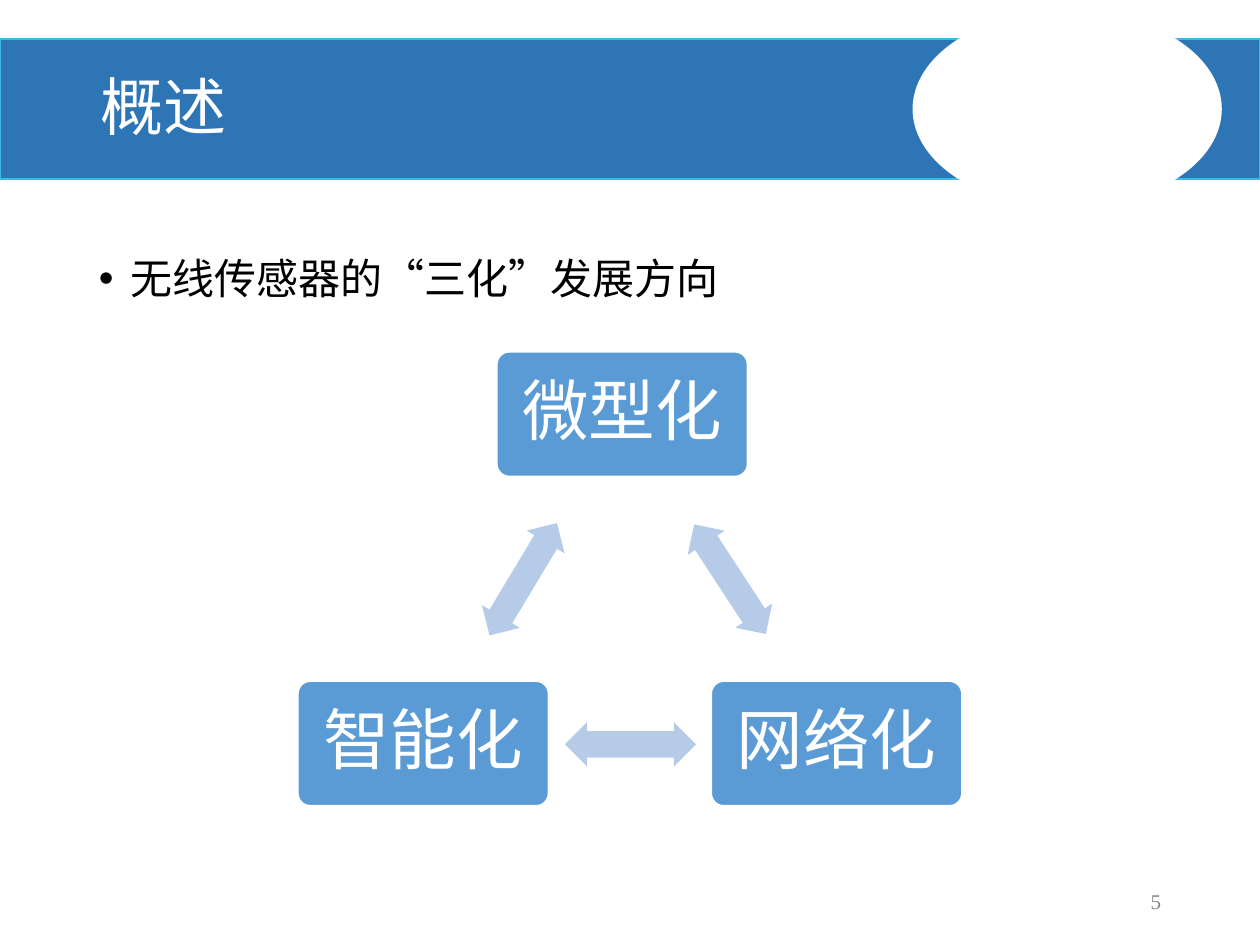
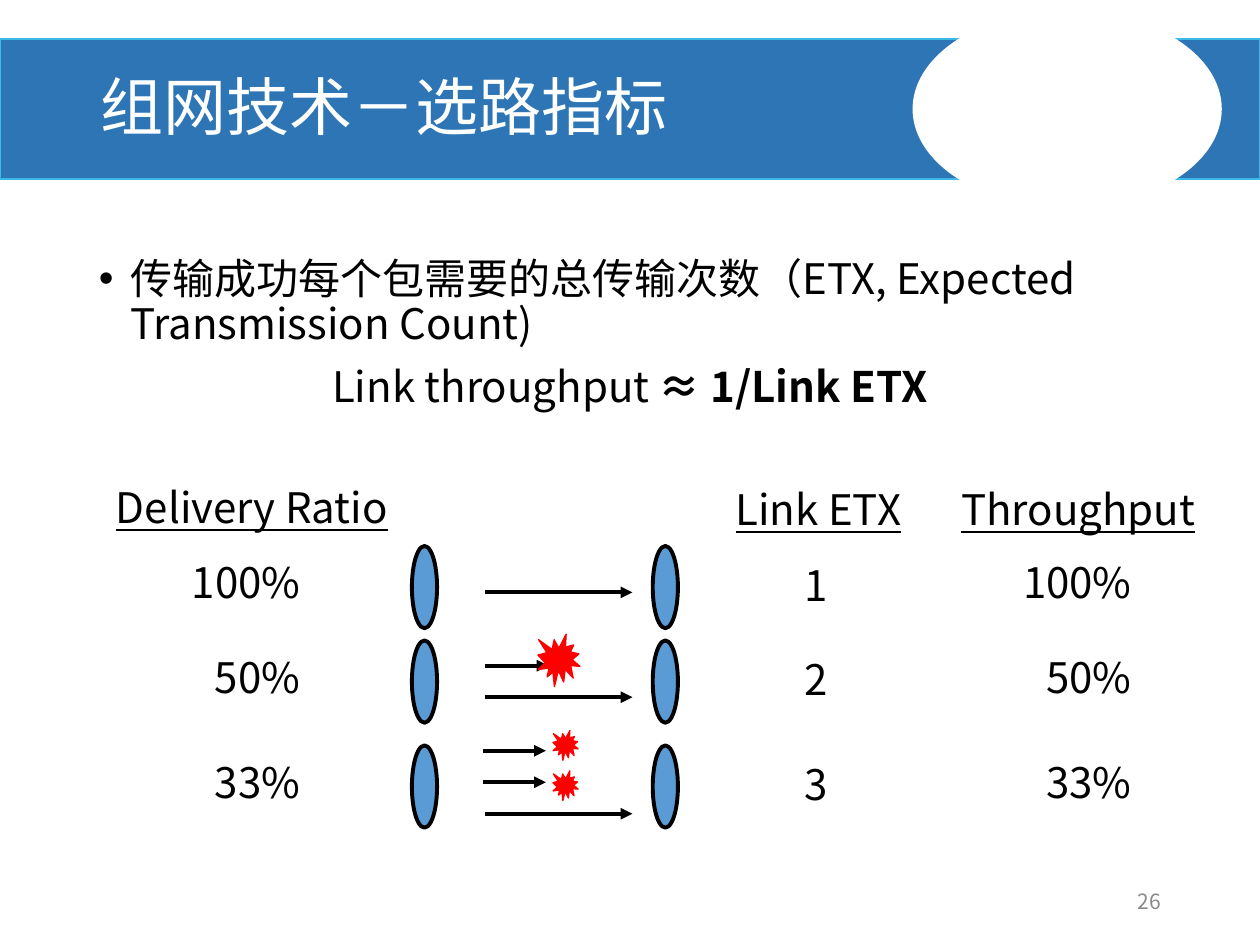
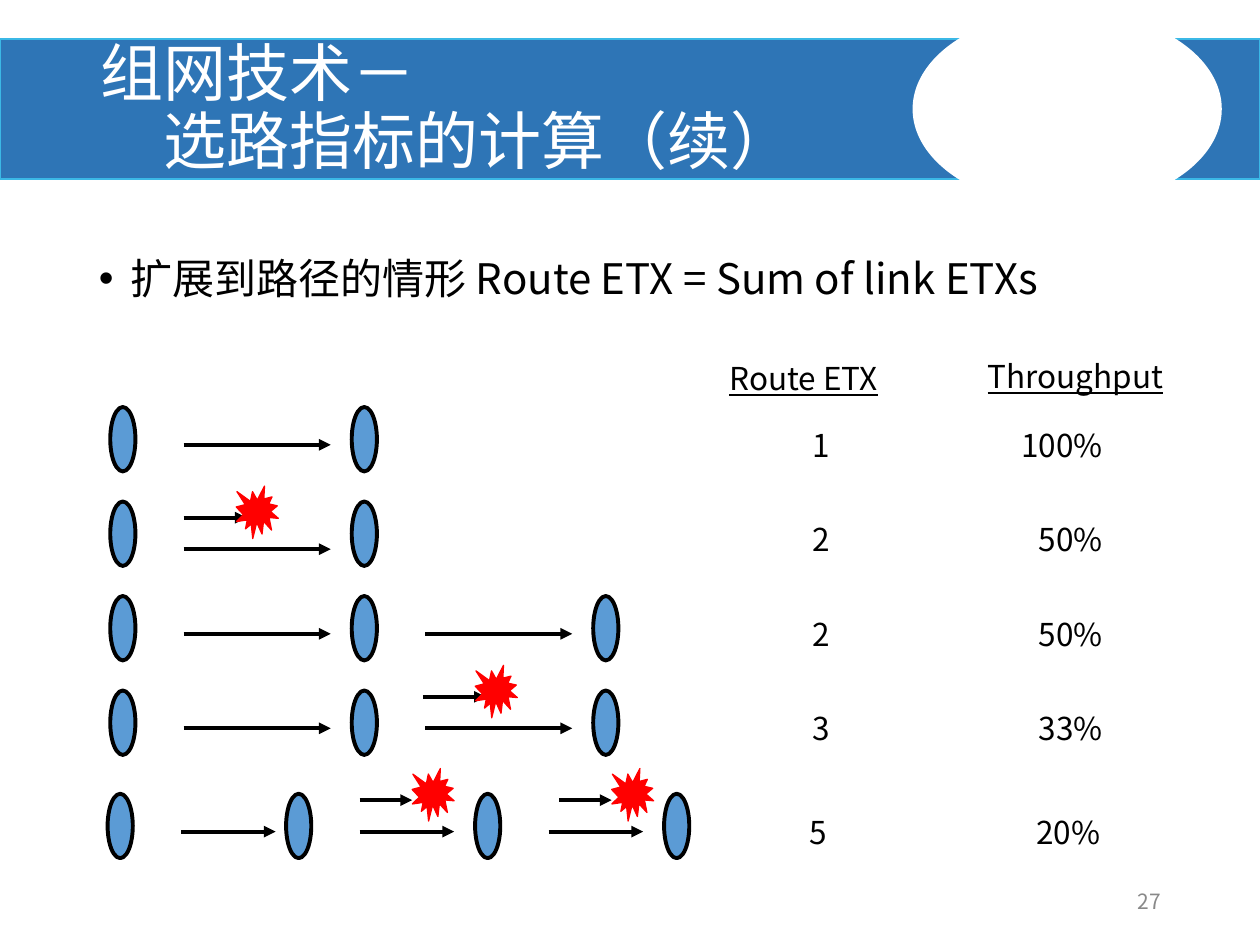
from collections import namedtuple

from lxml.etree import SubElement
from pptx import Presentation
from pptx.dml.color import RGBColor
from pptx.enum.shapes import MSO_CONNECTOR as Connector, MSO_SHAPE as Preset
from pptx.enum.text import MSO_ANCHOR as Anchor, MSO_AUTO_SIZE as AutoSize, PP_ALIGN as Align
from pptx.oxml.ns import qn
from pptx.util import Pt

Box = namedtuple("Box", "left top width height")
Failure = namedtuple("Failure", "shift length burst")
Hop = namedtuple("Hop", "node length arrow_top failures", defaults=((),))
Row = namedtuple("Row", "top nodes hops")
Column = namedtuple("Column", "heading box value_right value_top values")

SANS = "Noto Sans CJK SC"
WHITE, BLACK, GREY = "FFFFFF", "000000", "898989"
BAND, BAND_EDGE = "2E75B6", "3BB8E6"
NODE, ARROW, RED = "5B9BD5", "B5CBE7", "FF0000"
NODE_WIDTH = 14.4
HOP_START = 42
ATTEMPT_GAP = 18

BAND_BOX = Box(0, 22.3, 720, 80)
TITLE_BOX = Box(50.4, 23.8, 458, 78.5)
BODY_BOX = Box(49.5, 144, 621, 343)
NUMBER_BOX = Box(508.5, 500.5, 162, 28.8)

BIG_BURST = Box(30, -18, 24, 30)
LOST = Failure(0, 36, BIG_BURST)
LOST_EARLY = Failure(-1.4, 36, BIG_BURST)
LOST_SHORT = Failure(0, 30, BIG_BURST)
LOST_LATE = Failure(6, 30, BIG_BURST)
LOST_SECOND = Failure(-1.4, 36, Box(40, -6.5, 14.4, 17))
LOST_FIRST = Failure(-1.4, 36, Box(40, -11.5, 14.4, 17))


def color(value):
    return RGBColor.from_string(value)


def points(*values):
    return [Pt(value) for value in values]


def format_paragraph(paragraph, size, fill, font=SANS, align=Align.LEFT, spacing=None, underline=None):
    paragraph.alignment = align
    if spacing:
        paragraph.line_spacing = spacing
    for run in paragraph.runs:
        run.font.size = Pt(size)
        run.font.color.rgb = color(fill)
        run.font.name = font
        run.font.underline = underline
        SubElement(run._r.get_or_add_rPr(), qn("a:ea")).set("typeface", SANS)


def add_bullet(paragraph):
    properties = paragraph._p.get_or_add_pPr()
    properties.set("marL", str(Pt(18)))
    properties.set("indent", str(-Pt(18)))
    SubElement(properties, qn("a:buFont")).set("typeface", "Arial")
    SubElement(properties, qn("a:buChar")).set("char", "•")


def add_text(slide, box, text, size, fill=BLACK, anchor=Anchor.TOP, **style):
    frame = slide.shapes.add_textbox(*points(*box)).text_frame
    frame.word_wrap = True
    frame.vertical_anchor = anchor
    frame.text = text
    format_paragraph(frame.paragraphs[0], size, fill, **style)
    return frame


def add_preset(slide, preset, box, fill, line=None, line_width=1, adjustments=()):
    shape = slide.shapes.add_shape(preset, *points(*box))
    shape.shadow.inherit = False
    shape.fill.solid()
    shape.fill.fore_color.rgb = color(fill)
    if line:
        shape.line.color.rgb = color(line)
        shape.line.width = Pt(line_width)
    else:
        shape.line.fill.background()
    for index, value in enumerate(adjustments):
        shape.adjustments[index] = value
    return shape


def add_arrow(slide, left, top, length):
    arrow = slide.shapes.add_connector(Connector.STRAIGHT, *points(left, top, left + length, top))
    arrow.line.color.rgb = color(BLACK)
    arrow.line.width = Pt(2.25)
    SubElement(arrow.line._get_or_add_ln(), qn("a:tailEnd")).set("type", "triangle")
    SubElement(arrow._element.spPr, qn("a:effectLst"))


def move_band_to_layout(slide, box):
    band = add_preset(slide, Preset.RECTANGLE, box, BAND, BAND_EDGE)
    cutout_box = Box(box.left + 522, box.top - 15.8, 175.7, 111.6)
    cutout = add_preset(slide, Preset.OVAL, cutout_box, WHITE, WHITE)
    tree = slide.slide_layout.shapes.element
    for position, shape in enumerate((band, cutout), start=2):
        tree.insert(position, shape.element)


def add_titled_slide(presentation, title, number, number_font=SANS):
    slide = presentation.slides.add_slide(presentation.slide_layouts[5])
    shape = slide.shapes.title
    shape.left, shape.top, shape.width, shape.height = points(*TITLE_BOX)
    frame = shape.text_frame
    frame.auto_size = AutoSize.NONE
    frame.vertical_anchor = Anchor.MIDDLE
    frame.text = title
    for paragraph in frame.paragraphs:
        format_paragraph(paragraph, 36, WHITE, spacing=0.9)
    add_text(slide, NUMBER_BOX, number, 12, GREY, Anchor.MIDDLE, font=number_font, align=Align.RIGHT)
    return slide


def draw_body(slide, box, text):
    frame = add_text(slide, box, text, 24, spacing=0.9)
    add_bullet(frame.paragraphs[0])
    return frame


def draw_triangle(slide, box):
    width, height = 143.3, 71.3
    right, bottom = box.width - width, box.height - height
    for text, left, top in (
        ("微型化", 113.7, 0),
        ("网络化", right, bottom),
        ("智能化", 0, bottom),
    ):
        node_box = Box(box.left + left, box.top + top, width, height)
        shape = add_preset(slide, Preset.ROUNDED_RECTANGLE, node_box, NODE, WHITE, adjustments=[0.1])
        frame = shape.text_frame
        frame.word_wrap = True
        frame.vertical_anchor = Anchor.MIDDLE
        frame.margin_left = frame.margin_right = frame.margin_top = frame.margin_bottom = Pt(11.5)
        frame.text = text
        format_paragraph(frame.paragraphs[0], 38, WHITE, "Calibri", Align.CENTER, 0.9)
    for left, top, rotation in ((209.5, 117.4, 56.8), (152.6, 211.7, 180), (91.4, 117.4, 301)):
        arrow_box = Box(box.left + left, box.top + top, 74.9, 25.2)
        arrow = add_preset(slide, Preset.LEFT_RIGHT_ARROW, arrow_box, ARROW, adjustments=[0.6, 0.5])
        arrow.rotation = rotation


def draw_hop(slide, left, top, hop):
    add_arrow(slide, left, top, hop.length)
    for attempt, failure in enumerate(hop.failures, start=1):
        start, level = left + failure.shift, top - attempt * ATTEMPT_GAP
        add_arrow(slide, start, level, failure.length)
        burst = failure.burst
        burst_box = Box(start + burst.left, level + burst.top, burst.width, burst.height)
        add_preset(slide, Preset.EXPLOSION1, burst_box, RED, RED, 0.75)


def draw_links(slide, left, top, node_height, rows):
    for row in rows:
        for node in row.nodes:
            node_box = Box(left + node, top + row.top, NODE_WIDTH, node_height)
            add_preset(slide, Preset.OVAL, node_box, NODE, BLACK, 2.25)
        for hop in row.hops:
            start = left + row.nodes[hop.node] + HOP_START
            draw_hop(slide, start, top + row.top + hop.arrow_top, hop)


def draw_column(slide, column, rows, size):
    box = column.box
    add_text(slide, box, column.heading, size, underline=True)
    for row, value in zip(rows, column.values):
        shift = row.nodes[0] - rows[0].nodes[0]
        top = box.top + column.value_top + row.top
        value_box = Box(box.left + shift, top, column.value_right, box.height)
        add_text(slide, value_box, value, size, align=Align.RIGHT)


def draw_trend_slide(presentation):
    slide = add_titled_slide(presentation, "概述", "5", "Times New Roman")
    move_band_to_layout(slide, BAND_BOX)
    draw_body(slide, BODY_BOX, "无线传感器的“三化”发展方向")
    draw_triangle(slide, Box(170.2, 201, 379.5, 259.5))


def draw_metric_slide(presentation):
    slide = add_titled_slide(presentation, "组网技术－选路指标", "26")
    frame = draw_body(slide, BODY_BOX, "传输成功每个包需要的总传输次数（ETX, Expected Transmission Count)")
    formula = frame.add_paragraph()
    formula.text = "Link throughput "
    formula.add_run().text = "≈ 1/Link ETX"
    format_paragraph(formula, 24, BLACK, align=Align.CENTER, spacing=0.9)
    formula.space_before = Pt(10)
    formula.runs[1].font.bold = True

    nodes = (0, 137.6)
    rows = [
        Row(0, nodes, [Hop(0, 84, 26.5)]),
        Row(54, nodes, [Hop(0, 84, 32.4, [LOST])]),
        Row(114, nodes, [Hop(0, 84, 39, [LOST_SECOND, LOST_FIRST])]),
    ]
    draw_links(slide, 235.4, 312, 47, rows)
    rates = ["100%", "50%", "33%"]
    for column in (
        Column("Delivery Ratio", Box(59.2, 271.5, 180, 36.5), 119.5, 43, rates),
        Column("Throughput", Box(542.2, 273, 160, 36.5), 111.5, 41.5, rates),
        Column("Link ETX", Box(413.2, 273, 120, 36.5), 67, 43, ["1", "2", "3"]),
    ):
        draw_column(slide, column, rows, 24)


def draw_route_slide(presentation):
    slide = add_titled_slide(presentation, "组网技术－\n\t选路指标的计算（续）", "27")
    draw_body(slide, BODY_BOX, "扩展到路径的情形 Route ETX = Sum of link ETXs")

    nodes = (0, 138, 276)
    clean = Hop(0, 84, 21.6)
    rows = [
        Row(0, nodes[:2], [clean]),
        Row(54, nodes[:2], [Hop(0, 84, 27.2, [LOST])]),
        Row(108, nodes, [clean, Hop(1, 84, 21.6)]),
        Row(162, nodes, [clean, Hop(1, 84, 21.6, [LOST_EARLY])]),
        Row(221, (-1.5, 100.5, 208.5, 316.5), [
            Hop(0, 54, 21.6),
            Hop(1, 54, 21.6, [LOST_SHORT]),
            Hop(2, 54, 21.6, [LOST_LATE]),
        ]),
    ]
    draw_links(slide, 63, 232.6, 36.8, rows)
    for column in (
        Column("Route ETX", Box(409.7, 201.6, 115, 29), 71.5, 38.2, ["1", "2", "2", "3", "5"]),
        Column("Throughput", Box(557.3, 200.2, 130, 29), 80, 39.6, ["100%", "50%", "50%", "33%", "20%"]),
    ):
        draw_column(slide, column, rows, 18)


def main():
    presentation = Presentation()
    presentation.slide_width, presentation.slide_height = points(720, 540)
    draw_trend_slide(presentation)
    draw_metric_slide(presentation)
    draw_route_slide(presentation)
    presentation.save("out.pptx")


if __name__ == "__main__":
    main()
